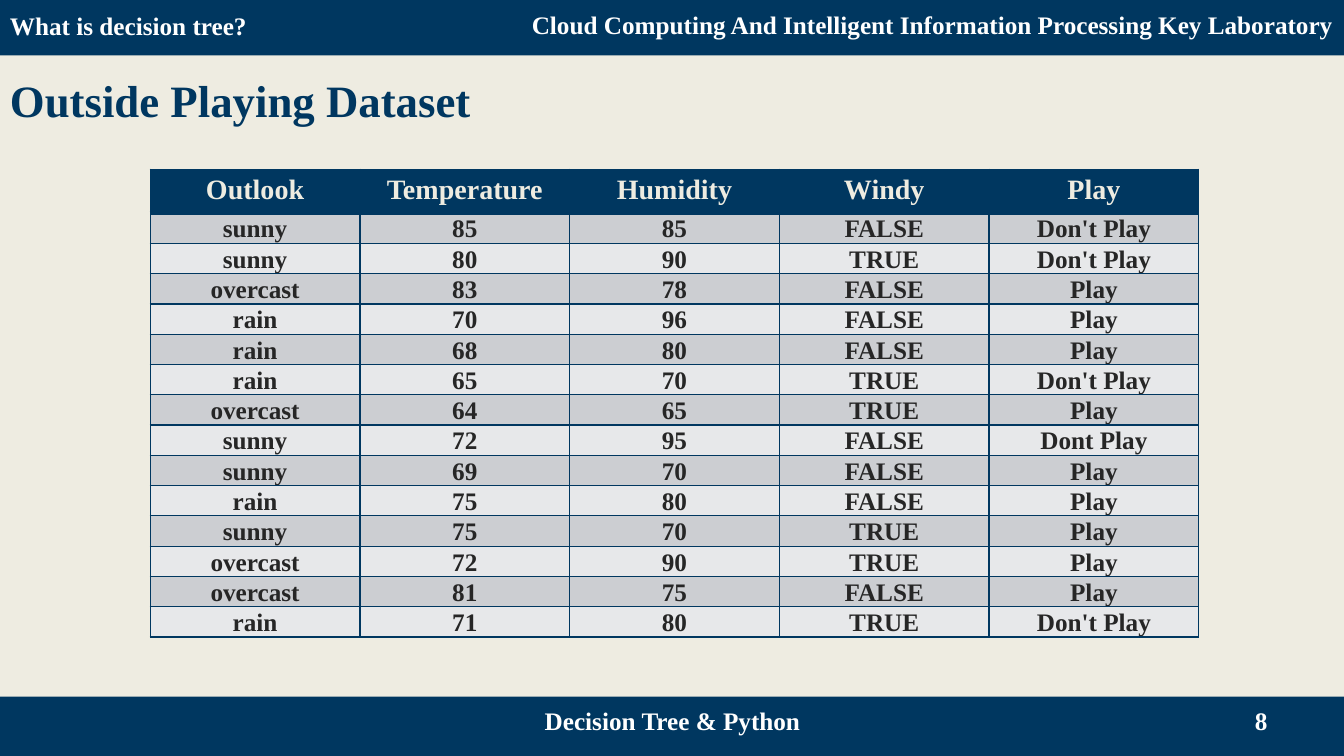
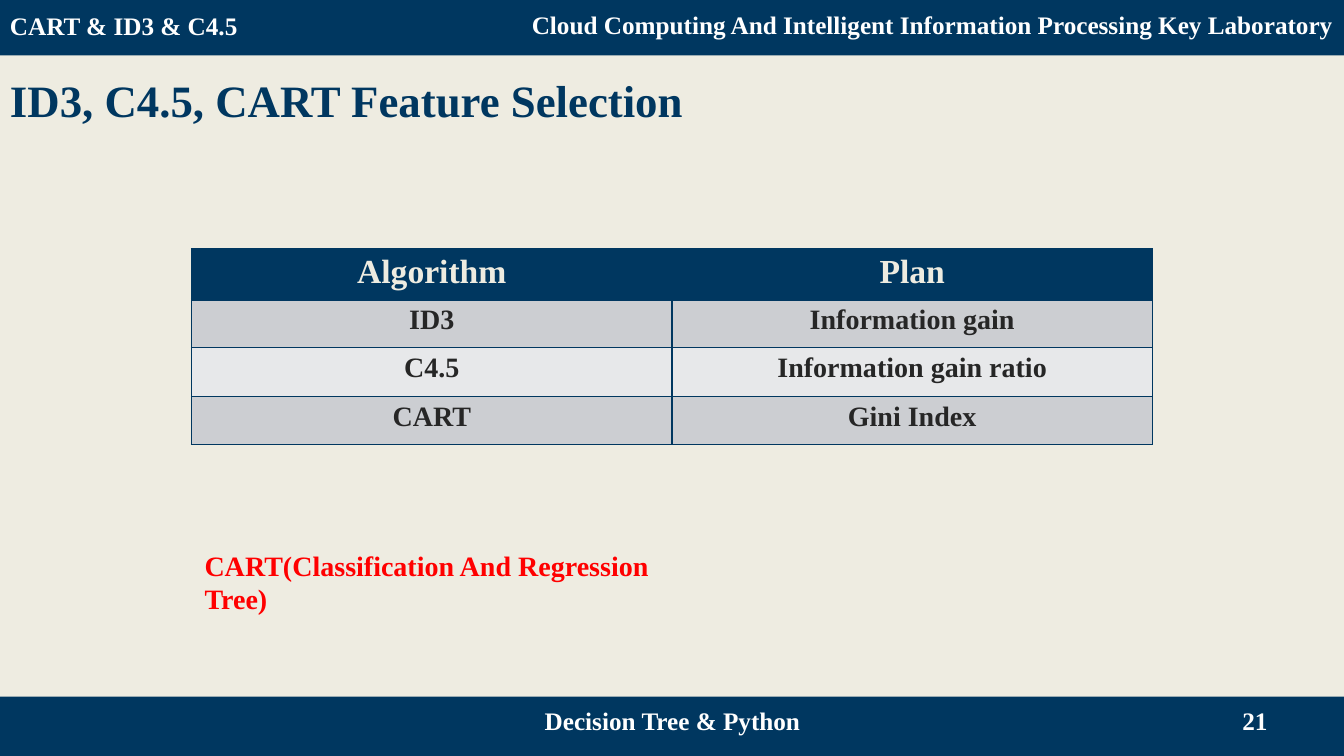
"""Build two decision tree slides with shared bands, titles and tables."""
from lxml import etree
from pptx import Presentation
from pptx.dml.color import RGBColor
from pptx.enum.shapes import MSO_SHAPE
from pptx.enum.text import MSO_ANCHOR, PP_ALIGN
from pptx.oxml.ns import qn
from pptx.util import Inches, Pt

NAVY = RGBColor(0x00, 0x37, 0x60)
CREAM = RGBColor(0xEE, 0xEC, 0xE1)
WHITE = RGBColor(0xFF, 0xFF, 0xFF)
INK = RGBColor(0x26, 0x26, 0x26)
RED = RGBColor(0xFF, 0x00, 0x00)
BANDS = (RGBColor(0xE7, 0xE8, 0xEA), RGBColor(0xCC, 0xCE, 0xD2))
FONT = "Times New Roman"
RECT = MSO_SHAPE.RECTANGLE
LEFT, MID, RIGHT = PP_ALIGN.LEFT, PP_ALIGN.CENTER, PP_ALIGN.RIGHT
TOP, CENTER, BOTTOM = MSO_ANCHOR.TOP, MSO_ANCHOR.MIDDLE, MSO_ANCHOR.BOTTOM
WIDE, HIGH, BAND = 13.33, 7.5, 0.59

LAB = "Cloud Computing And Intelligent Information Processing Key Laboratory"
TOPIC = "Decision Tree & Python"

DAYS = [line.split(",") for line in (
    "Outlook,Temperature,Humidity,Windy,Play",
    "sunny,85,85,FALSE,Don't Play",
    "sunny,80,90,TRUE,Don't Play",
    "overcast,83,78,FALSE,Play",
    "rain,70,96,FALSE,Play",
    "rain,68,80,FALSE,Play",
    "rain,65,70,TRUE,Don't Play",
    "overcast,64,65,TRUE,Play",
    "sunny,72,95,FALSE,Dont Play",
    "sunny,69,70,FALSE,Play",
    "rain,75,80,FALSE,Play",
    "sunny,75,70,TRUE,Play",
    "overcast,72,90,TRUE,Play",
    "overcast,81,75,FALSE,Play",
    "rain,71,80,TRUE,Don't Play",
)]
PLANS = [
    ("Algorithm", "Plan"),
    ("ID3", "Information gain"),
    ("C4.5", "Information gain ratio"),
    ("CART", "Gini Index"),
]


class Deck:
    """Hold the style and the current slide."""

    def __init__(self):
        """Start an empty deck."""
        self.prs = Presentation()
        self.prs.slide_width = Inches(WIDE)
        self.prs.slide_height = Inches(HIGH)
        self.slide = None

    def start(self, part, title, page):
        """Add a slide with its bands, title and footer."""
        self.slide = self.prs.slides.add_slide(self.prs.slide_layouts[6])
        fill = self.slide.background.fill
        fill.solid()
        fill.fore_color.rgb = CREAM
        self.band(-0.04, part)
        self.band(HIGH - BAND)
        self.text((0, 0.57, 8.68, 0.74), title, 32, NAVY, space=1.2)
        self.text((9.56, 6.95, 3.11, 0.4), page, 18, WHITE, RIGHT, CENTER)
        self.text((4.56, 6.95, 4.22, 0.4), TOPIC, 18, WHITE, MID, CENTER)
        self.text((3.91, 0.04, 9.41, 0.4), LAB, 18, WHITE, RIGHT, CENTER)

    def label(self, frame, text, size, color, align=LEFT):
        """Fill a text frame with one styled paragraph."""
        frame.text = text
        para = frame.paragraphs[0]
        para.alignment = align
        for run in para.runs:
            font = run.font
            font.name, font.size, font.bold = FONT, Pt(size), True
            font.color.rgb = color
        return para

    def text(self, place, text, size, color, align=LEFT, anchor=TOP, space=None):
        """Add a wrapped text box."""
        box = self.slide.shapes.add_textbox(*map(Inches, place))
        frame = box.text_frame
        frame.word_wrap = True
        frame.vertical_anchor = anchor
        para = self.label(frame, text, size, color, align)
        if space:
            para.line_spacing = space

    def band(self, top, text=None):
        """Add a full-width navy band."""
        bar = self.slide.shapes.add_shape(
            RECT, 0, Inches(top), Inches(WIDE), Inches(BAND))
        bar.shadow.inherit = False
        bar.fill.solid()
        bar.fill.fore_color.rgb = NAVY
        bar.line.fill.background()
        if text:
            bar.text_frame.vertical_anchor = CENTER
            self.label(bar.text_frame, text, 18, WHITE)

    def edge(self, cell, side, width):
        """Draw one border of a cell."""
        line = etree.SubElement(
            cell._tc.get_or_add_tcPr(), qn("a:ln" + side), w=str(Pt(width)))
        fill = etree.SubElement(line, qn("a:solidFill"))
        etree.SubElement(fill, qn("a:srgbClr"), val=str(NAVY))

    def table(self, place, rows, head, sizes, tight=False):
        """Add a banded table with a header row of the given height."""
        width, height = place[2:]
        count, cols = len(rows), len(rows[0])
        grid = self.slide.shapes.add_table(
            count, cols, *map(Inches, place)).table
        for col in grid.columns:
            col.width = Inches(width / cols)
        for r, row in enumerate(rows):
            step = (height - head) / (count - 1) if r else head
            grid.rows[r].height = Inches(step)
            for c, text in enumerate(row):
                cell = grid.cell(r, c)
                if r and tight:
                    cell.margin_left = cell.margin_right = 0
                    cell.margin_top = cell.margin_bottom = 0
                    cell.vertical_anchor = BOTTOM
                for side in "LRTB":
                    thick = (r, side) in ((0, "B"), (1, "T"))
                    self.edge(cell, side, 3 if thick else 1)
                cell.fill.solid()
                cell.fill.fore_color.rgb = BANDS[r % 2] if r else NAVY
                size, color = (sizes[1], INK) if r else (sizes[0], CREAM)
                self.label(cell.text_frame, text, size, color, MID)


def main():
    """Build and save both slides."""
    deck = Deck()
    deck.start("What is decision tree?", "Outside Playing Dataset", "8")
    deck.table((1.49, 1.68, 10.4, 4.63), DAYS, 0.43, (20, 18), tight=True)

    deck.start("CART & ID3 & C4.5", "ID3, C4.5, CART Feature Selection", "21")
    deck.table((1.9, 2.47, 9.53, 1.94), PLANS, 0.5, (24, 20))
    deck.text((1.93, 5.39, 5.28, 0.43),
              "CART(Classification And Regression Tree)", 20, RED)
    deck.prs.save("out.pptx")


if __name__ == "__main__":
    main()
